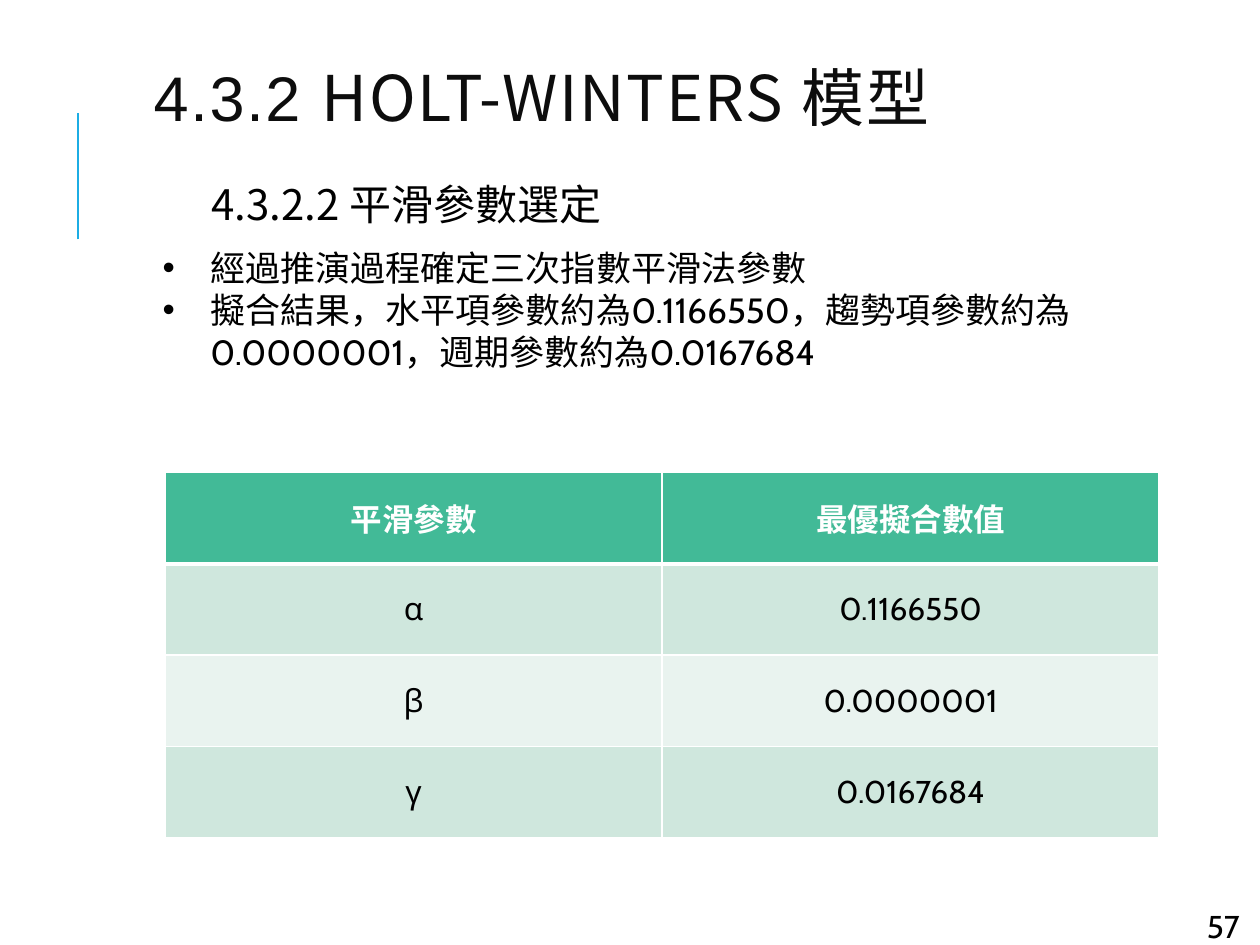
from lxml.etree import SubElement
from pptx import Presentation
from pptx.dml.color import RGBColor
from pptx.enum.shapes import MSO_CONNECTOR as Connector
from pptx.enum.text import MSO_ANCHOR as Anchor, MSO_AUTO_SIZE as AutoSize, PP_ALIGN as Align
from pptx.oxml.ns import qn
from pptx.util import Inches, Pt

BLACK = RGBColor(0x00, 0x00, 0x00)
INK = RGBColor(0x0D, 0x0D, 0x0D)
WHITE = RGBColor(0xFF, 0xFF, 0xFF)
BLUE = RGBColor(0x1C, 0xAD, 0xE4)
GREEN = RGBColor(0x42, 0xBA, 0x97)
BANDS = (RGBColor(0xCF, 0xE7, 0xDD), RGBColor(0xE9, 0xF3, 0xEF))
SANS, CJK, CABIN = "Arial", "Noto Sans CJK SC", "Cabin"
COLUMNS, ROWS = 100, 75

HEADING = "4.3.2.2 平滑參數選定"
POINTS = (
    "經過推演過程確定三次指數平滑法參數",
    "擬合結果，水平項參數約為0.1166550，趨勢項參數約為0.0000001，週期參數約為0.0167684",
)
PARAMETERS = (
    ("平滑參數", "最優擬合數值"),
    ("α", "0.1166550"),
    ("β", "0.0000001"),
    ("γ", "0.0167684"),
)


class SlideBuilder:
    def __init__(self, deck):
        self.deck = deck
        self.page = deck.slides.add_slide(deck.slide_layouts[1])

    def x(self, columns):
        return int(self.deck.slide_width * columns / COLUMNS)

    def y(self, rows):
        return int(self.deck.slide_height * rows / ROWS)

    def area(self, left, top, width, height):
        return self.x(left), self.y(top), self.x(width), self.y(height)

    def place(self, shape, *area):
        shape.left, shape.top, shape.width, shape.height = self.area(*area)

    def run(self, para, text, font, size, color, bold=False, tracking=0):
        span = para.add_run()
        span.text = text
        span.font.name, span.font.size, span.font.bold = font, Pt(size), bold
        span.font.color.rgb = color
        if tracking:
            span.font._element.set("spc", str(tracking * 100))

    def rule(self, column, top, bottom):
        line = self.page.shapes.add_connector(
            Connector.STRAIGHT, self.x(column), self.y(bottom), self.x(column), self.y(top))
        line.line.color.rgb = BLUE
        line.line.width = Pt(1.5)
        SubElement(line._element.spPr, qn("a:effectLst"))

    def title(self, parts, *area):
        box = self.page.shapes.title
        self.place(box, *area)
        frame = box.text_frame
        frame.auto_size = AutoSize.NONE
        frame.vertical_anchor = Anchor.MIDDLE
        para = frame.paragraphs[0]
        para.alignment = Align.LEFT
        para.line_spacing = 0.8
        for text, font in parts:
            self.run(para, text, font, 36, INK, tracking=1)

    def indent(self, para, margin, hanging, bullet):
        properties = para._p.get_or_add_pPr()
        properties.set("marL", str(Inches(margin)))
        properties.set("indent", str(-Inches(hanging)))
        if bullet:
            SubElement(properties, qn("a:buFont"), typeface=SANS)
            SubElement(properties, qn("a:buChar"), char="•")
        else:
            SubElement(properties, qn("a:buNone"))

    def body(self, heading, points, *area):
        box = self.page.placeholders[1]
        self.place(box, *area)
        frame = box.text_frame
        frame.auto_size = AutoSize.NONE
        frame.vertical_anchor = Anchor.TOP
        para = frame.paragraphs[0]
        self.indent(para, 0.39, 0, False)
        para.space_before = Pt(0)
        self.run(para, heading, CJK, 24, BLACK)
        for index, point in enumerate(points):
            para = frame.add_paragraph()
            self.indent(para, 0.38, 0.38, True)
            para.space_before = Pt(0 if index else 10)
            self.run(para, point, CABIN, 20, BLACK)

    def label(self, text, *area):
        box = self.page.shapes.add_textbox(*self.area(*area))
        box.text_frame.word_wrap = True
        self.run(box.text_frame.paragraphs[0], text, CABIN, 18, BLACK)

    def border(self, cell, side, width):
        line = SubElement(cell._tc.get_or_add_tcPr(), qn(f"a:ln{side}"), w=str(Pt(width)))
        fill = SubElement(line, qn("a:solidFill"))
        SubElement(fill, qn("a:srgbClr"), val=str(WHITE))

    def table(self, rows, *area):
        grid = self.page.shapes.add_table(len(rows), len(rows[0]), *self.area(*area)).table
        for r, row in enumerate(rows):
            header = r == 0
            for c, text in enumerate(row):
                cell = grid.cell(r, c)
                for side in "LRTB":
                    heavy = (side == "B" and header) or (side == "T" and r == 1)
                    self.border(cell, side, 3 if heavy else 1)
                cell.fill.solid()
                cell.fill.fore_color.rgb = GREEN if header else BANDS[(r - 1) % 2]
                cell.vertical_anchor = Anchor.MIDDLE
                para = cell.text_frame.paragraphs[0]
                para.alignment = Align.CENTER
                self.run(para, text, CABIN, 18, WHITE if header else BLACK, bold=header)


def main():
    deck = Presentation()
    deck.slide_width, deck.slide_height = Inches(10), Inches(7.5)
    builder = SlideBuilder(deck)
    builder.rule(6.2, 9, 19)
    builder.title((("4.3.2 ", SANS), ("HOLT-WINTERS 模型", CJK)), 11.2, 0, 79.7, 16.4)
    builder.body(HEADING, POINTS, 11.9, 13.7, 82.9, 16.8)
    builder.label("57", 94.8, 71.5, 5.2, 3)
    builder.table(PARAMETERS, 13.1, 37.5, 78.9, 29)
    deck.save("out.pptx")


if __name__ == "__main__":
    main()
